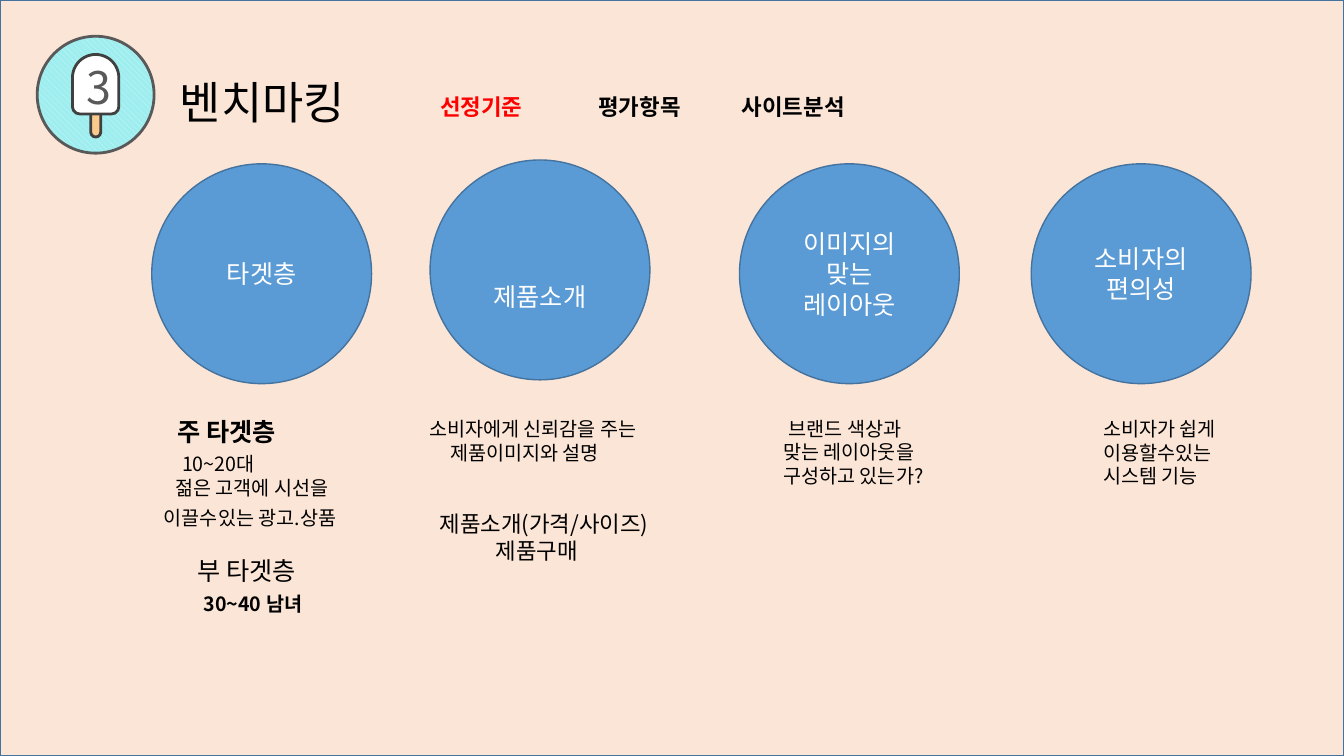
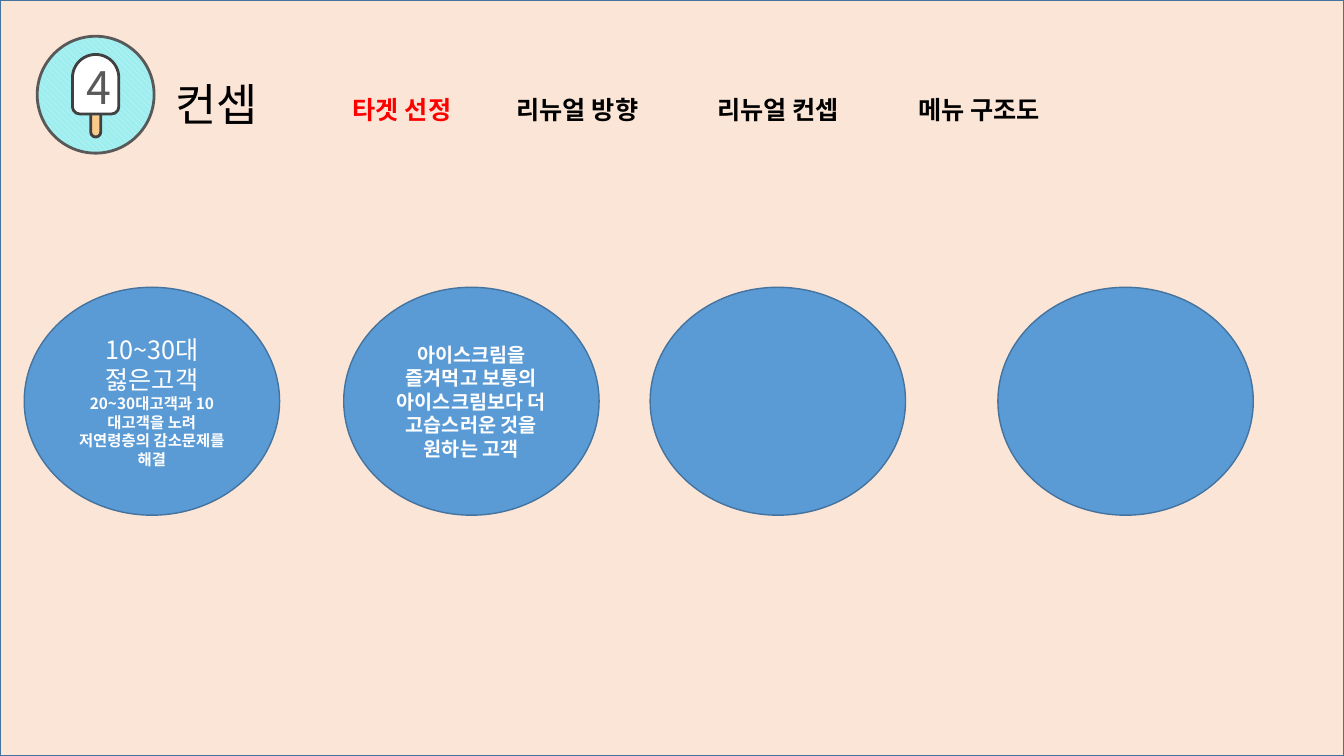
import dataclasses

import lxml.etree
import pptx
import pptx.dml.color
import pptx.enum.dml
import pptx.enum.shapes
import pptx.enum.text
import pptx.oxml.ns
import pptx.util

Pt = pptx.util.Pt
SHAPES = pptx.enum.shapes.MSO_SHAPE
ALIGN = pptx.enum.text.PP_ALIGN
ANCHOR = pptx.enum.text.MSO_ANCHOR


@dataclasses.dataclass(frozen=True)
class Theme:
    font: str = "Noto Sans CJK KR"
    background: str = "FBE5D6"
    circle: str = "5B9BD5"
    outline: str = "43739E"
    badge_light: str = "D1F6F7"
    badge_dark: str = "9FEEEF"
    badge_line: str = "595959"
    ice_line: str = "404040"
    stick: str = "FACA8D"
    white: str = "FFFFFF"
    black: str = "000000"
    active: str = "FF0000"
    title_size: float = 32
    heading_size: float = 18
    detail_size: float = 16
    body_size: float = 14
    small_size: float = 11
    line_height: float = 1.2


@dataclasses.dataclass(frozen=True)
class Box:
    left: float
    top: float
    width: float
    height: float

    def inner(self, left, top, width, height):
        return Box(self.left + left, self.top + top, width, height)

    def lengths(self):
        return Pt(self.left), Pt(self.top), Pt(self.width), Pt(self.height)


@dataclasses.dataclass(frozen=True)
class Line:
    text: str
    size: float
    bold: bool = False
    indent: float = 0
    before: float = 0


THEME = Theme()
PAGE = Box(0, 0, 960, 540)
BADGE = Box(26.6, 25.9, 83.5, 83.5)


def rgb(value):
    return pptx.dml.color.RGBColor.from_string(value)


def write_lines(text_frame, lines, color, alignment=ALIGN.LEFT):
    text_frame.text = "\n".join(line.text for line in lines)
    for paragraph, line in zip(text_frame.paragraphs, lines):
        paragraph.alignment = alignment
        paragraph.line_spacing = Pt(line.size * THEME.line_height)
        if line.before:
            paragraph.space_before = Pt(line.before)
        if line.indent:
            paragraph._p.get_or_add_pPr().set("marL", str(Pt(line.indent)))
        for run in paragraph.runs:
            run.font.size = Pt(line.size)
            run.font.bold = line.bold
            run.font.color.rgb = rgb(color)
            run.font.name = THEME.font
            east_asian = lxml.etree.SubElement(
                run._r.get_or_add_rPr(), pptx.oxml.ns.qn("a:ea"))
            east_asian.set("typeface", THEME.font)


def add_figure(shapes, kind, box, fill, outline, weight=1, adjustments=()):
    shape = shapes.add_shape(kind, *box.lengths())
    shape.shadow.inherit = False
    shape.fill.solid()
    shape.fill.fore_color.rgb = rgb(fill)
    shape.line.color.rgb = rgb(outline)
    shape.line.width = Pt(weight)
    for index, value in enumerate(adjustments):
        shape.adjustments[index] = value
    return shape


def add_text(slide, box, lines, color=THEME.black):
    text_frame = slide.shapes.add_textbox(*box.lengths()).text_frame
    text_frame.word_wrap = True
    text_frame.margin_left = text_frame.margin_right = 0
    text_frame.margin_top = text_frame.margin_bottom = 0
    write_lines(text_frame, lines, color)


def add_badge(slide, box, number):
    shapes = slide.shapes.add_group_shape().shapes
    disc = add_figure(shapes, SHAPES.OVAL, box, THEME.badge_dark,
                      THEME.badge_line, 2)
    disc.fill.patterned()
    disc.fill.pattern = pptx.enum.dml.MSO_PATTERN.WIDE_DOWNWARD_DIAGONAL
    disc.fill.fore_color.rgb = rgb(THEME.badge_light)
    disc.fill.back_color.rgb = rgb(THEME.badge_dark)
    add_figure(shapes, SHAPES.ROUND_2_SAME_RECTANGLE,
               box.inner(38.2, 51.1, 7.2, 20.9), THEME.stick,
               THEME.ice_line, 2, (0, 0.5))
    ice = add_figure(shapes, SHAPES.ROUND_2_SAME_RECTANGLE,
                     box.inner(25.2, 13, 33.1, 42.5), THEME.white,
                     THEME.ice_line, 2, (0.5, 0.154))
    text_frame = ice.text_frame
    text_frame.word_wrap = False
    text_frame.vertical_anchor = ANCHOR.MIDDLE
    text_frame.margin_left = Pt(5)
    text_frame.margin_right = text_frame.margin_top = 0
    text_frame.margin_bottom = 0
    write_lines(text_frame, [Line(number, THEME.title_size)],
                THEME.badge_line, ALIGN.CENTER)


def add_header(slide, box, number, title, menu, menu_size, menu_top):
    add_badge(slide, BADGE, number)
    add_text(slide, box, [Line(title, THEME.title_size)])
    for index, (left, label) in enumerate(menu):
        color = THEME.black if index else THEME.active
        add_text(slide, box.inner(left, menu_top, 130, 24),
                 [Line(label, menu_size, True)], color)


def add_circle(slide, box, lines=(), drop=0):
    circle = add_figure(slide.shapes, SHAPES.OVAL, box, THEME.circle,
                        THEME.outline)
    if lines:
        text_frame = circle.text_frame
        text_frame.word_wrap = True
        text_frame.vertical_anchor = ANCHOR.MIDDLE
        text_frame.margin_top = Pt(3.6 + 2 * drop)
        write_lines(text_frame, lines, THEME.white, ALIGN.CENTER)


def new_slide(presentation):
    slide = presentation.slides.add_slide(presentation.slide_layouts[6])
    add_figure(slide.shapes, SHAPES.RECTANGLE, PAGE, THEME.background,
               THEME.outline)
    return slide


def build_benchmarking(presentation):
    heading, detail, body = (
        THEME.heading_size, THEME.detail_size, THEME.body_size)
    slide = new_slide(presentation)
    add_header(slide, Box(128.5, 53, 160, 40), "3", "벤치마킹",
               [(186, "선정기준"), (299, "평가항목"), (401.5, "사이트분석")],
               detail, 13.5)

    criteria = [
        (108.4, 117, 0, ["타겟층"]),
        (307.2, 114.3, 19, ["제품소개"]),
        (528.2, 117, 0, ["이미지의", "맞는 레이아웃"]),
        (736.6, 117, 0, ["소비자의", "편의성"]),
    ]
    for left, top, drop, labels in criteria:
        add_circle(slide, Box(left, top, 157, 157),
                   [Line(label, heading) for label in labels], drop)

    notes = [
        (Box(117, 297.5, 170, 81), [
            Line("주 타겟층", heading, True, indent=9.5),
            Line("10~20대", body, indent=13, before=4),
            Line("젊은 고객에 시선을", body, indent=8),
            Line("이끌수있는 광고.상품", body, before=4.5)]),
        (Box(141, 397, 130, 43), [
            Line("부 타겟층", heading),
            Line("30~40 남녀", body, True, indent=4.5, before=4)]),
        (Box(306.5, 298, 190, 34), [
            Line("소비자에게 신뢰감을 주는", body),
            Line("제품이미지와 설명", body, indent=15)]),
        (Box(314, 364.5, 200, 39), [
            Line("제품소개(가격/사이즈)", detail),
            Line("제품구매", detail, indent=40)]),
        (Box(559.5, 297.5, 150, 51), [
            Line("브랜드 색상과", body, indent=4),
            Line("맞는 레이아웃을", body),
            Line("구성하고 있는가?", body)]),
        (Box(788, 298, 150, 51), [
            Line("소비자가 쉽게", body),
            Line("이용할수있는", body),
            Line("시스템 기능", body)]),
    ]
    for box, lines in notes:
        add_text(slide, box, lines)


def build_concept(presentation):
    heading, body, small = (
        THEME.heading_size, THEME.body_size, THEME.small_size)
    slide = new_slide(presentation)
    add_header(slide, Box(125, 55, 110, 40), "4", "컨셉",
               [(127, "타겟 선정"), (244, "리뉴얼 방향"),
                (387.5, "리뉴얼 컨셉"), (531, "메뉴 구조도")],
               heading, 12.5)

    targets = [
        (17.3, [
            Line("10~30대", heading),
            Line("젏은고객", heading),
            Line("20~30대고객과 10대고객을 노려 저연령층의 감소문제를 해결",
                 small, True)]),
        (245.5, [
            Line("아이스크림을 즐겨먹고 보통의 아이스크림보다 더 "
                 "고습스러운 것을 원하는 고객", body, True)]),
        (464.4, []),
        (712.8, []),
    ]
    for left, lines in targets:
        add_circle(slide, Box(left, 205.2, 182.4, 162.8), lines)


def main():
    presentation = pptx.Presentation()
    presentation.slide_width = Pt(PAGE.width)
    presentation.slide_height = Pt(PAGE.height)
    build_benchmarking(presentation)
    build_concept(presentation)
    presentation.save("out.pptx")


if __name__ == "__main__":
    main()
